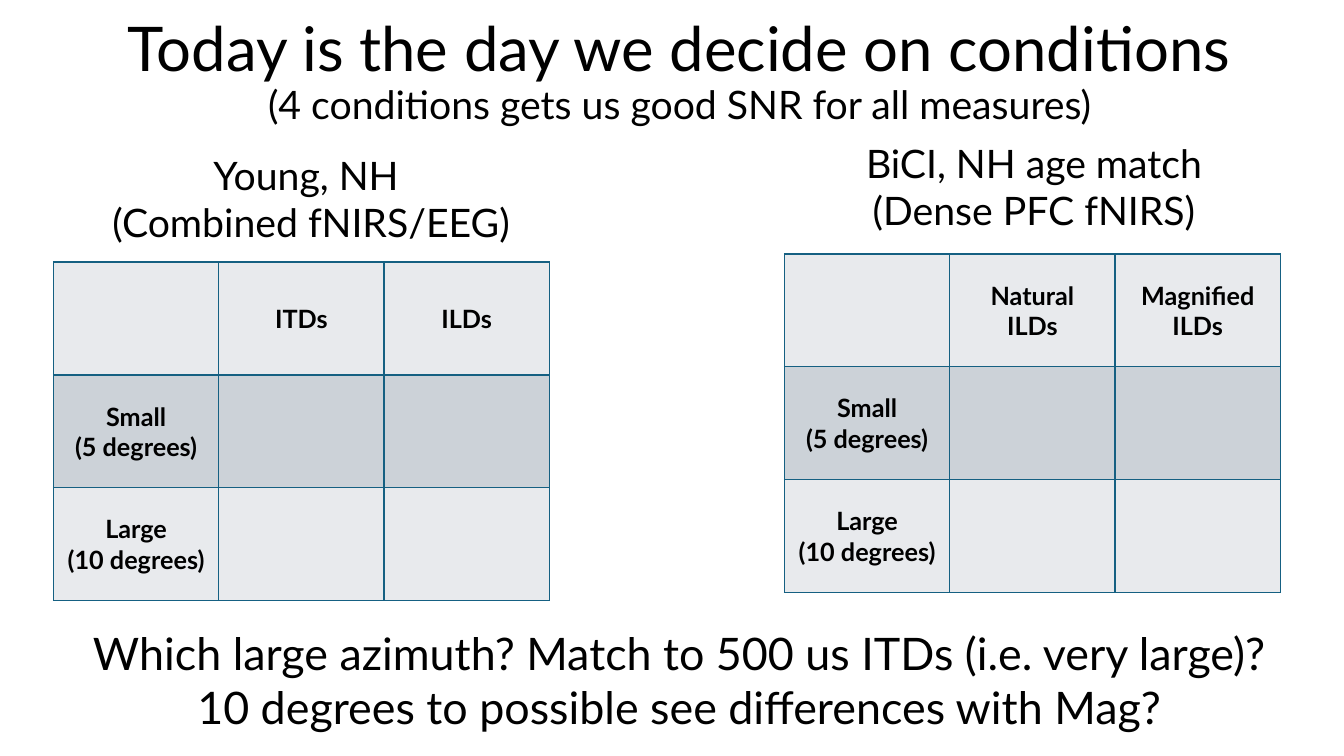
import dataclasses

import lxml.etree
import pptx
import pptx.dml.color
import pptx.enum.text
import pptx.oxml
import pptx.oxml.ns
import pptx.util

Inches = pptx.util.Inches
Align = pptx.enum.text.PP_ALIGN
Anchor = pptx.enum.text.MSO_ANCHOR


@dataclasses.dataclass(frozen=True)
class Theme:
    font: str = "Lato"
    ink: str = "000000"
    rule: str = "156082"
    bands: tuple[str, str] = ("E8EAED", "CCD2D8")
    title: int = 44
    head: int = 28
    cell: int = 18
    note: int = 32


@dataclasses.dataclass(frozen=True)
class Label:
    left: float
    top: float
    width: float
    height: float
    size: int
    lines: tuple[str, ...]


@dataclasses.dataclass(frozen=True)
class Grid:
    left: float
    top: float
    heads: tuple[str, str]


THEME = Theme()
COL, ROW = 1.64, 1.12
SIDES = ("Small\n(5 degrees)", "Large\n(10 degrees)")

LABELS = (
    Label(0.7, 1.45, 4.77, 1.04, THEME.head,
          ("Young, NH ", "(Combined fNIRS/EEG)")),
    Label(7.87, 1.33, 4.77, 1.04, THEME.head,
          ("BiCI, NH age match", "(Dense PFC fNIRS)")),
    Label(0.53, 6.16, 12.42, 1.18, THEME.note,
          ("Which large azimuth? Match to 500 us ITDs (i.e. very large)?",
           "10 degrees to possible see differences with Mag?")),
)
GRIDS = (
    Grid(0.53, 2.6, ("ITDs", "ILDs")),
    Grid(7.78, 2.52, ("Natural\nILDs", "Magnified\nILDs")),
)


def add_run(para, text: str, size: int, bold: bool = False) -> None:
    run = para.add_run()
    run.text = text
    run.font.name = THEME.font
    run.font.size = pptx.util.Pt(size)
    run.font.bold = bold
    run.font.color.rgb = pptx.dml.color.RGBColor.from_string(THEME.ink)


def add_lines(frame, lines, size: int, bold: bool = False) -> None:
    for i, line in enumerate(lines):
        para = frame.add_paragraph() if i else frame.paragraphs[0]
        para.alignment = Align.CENTER
        add_run(para, line, size, bold)


def add_title(slide) -> None:
    title = slide.shapes.title
    title.left, title.top = Inches(0.99), Inches(0)
    title.width, title.height = Inches(11.5), Inches(1.45)
    frame = title.text_frame
    frame.word_wrap = True
    frame.vertical_anchor = Anchor.MIDDLE
    para = frame.paragraphs[0]
    para.alignment = Align.CENTER
    para.line_spacing = 0.9
    add_run(para, "Today is the day we decide on conditions", THEME.title)
    para.add_line_break()
    add_run(para, "(4 conditions gets us good SNR for all measures)", THEME.head)


def add_label(slide, label: Label) -> None:
    box = slide.shapes.add_textbox(Inches(label.left), Inches(label.top),
                                   Inches(label.width), Inches(label.height))
    frame = box.text_frame
    frame.word_wrap = True
    frame.auto_size = pptx.enum.text.MSO_AUTO_SIZE.SHAPE_TO_FIT_TEXT
    add_lines(frame, label.lines, label.size)


def add_rules(cell) -> None:
    # Borders come before the fill in the cell properties
    props = cell._tc.get_or_add_tcPr()
    for i, side in enumerate(("lnL", "lnR", "lnT", "lnB")):
        props.insert(i, pptx.oxml.parse_xml(
            f'<a:{side} {pptx.oxml.ns.nsdecls("a")} w="12700"><a:solidFill>'
            f'<a:srgbClr val="{THEME.rule}"/></a:solidFill></a:{side}>'))


def add_grid(slide, grid: Grid) -> None:
    rows = (("", *grid.heads), *((side, "", "") for side in SIDES))
    count = len(rows)
    table = slide.shapes.add_table(
        count, count, Inches(grid.left), Inches(grid.top),
        Inches(COL * count), Inches(ROW * count)).table
    for col in table.columns:
        col.width = Inches(COL)
    for r, texts in enumerate(rows):
        table.rows[r].height = Inches(ROW)
        for c, text in enumerate(texts):
            cell = table.cell(r, c)
            cell.vertical_anchor = Anchor.MIDDLE
            cell.fill.solid()
            cell.fill.fore_color.rgb = pptx.dml.color.RGBColor.from_string(
                THEME.bands[r % 2])
            add_rules(cell)
            if text:
                add_lines(cell.text_frame, text.split("\n"), THEME.cell, True)


def main() -> None:
    deck = pptx.Presentation()
    deck.slide_width, deck.slide_height = Inches(13.33), Inches(7.5)
    slide = deck.slides.add_slide(deck.slide_layouts.get_by_name("Title Only"))
    add_title(slide)
    # Condition tables, then headings and closing question
    for grid in GRIDS:
        add_grid(slide, grid)
    for label in LABELS:
        add_label(slide, label)
    deck.save("out.pptx")


if __name__ == "__main__":
    main()
